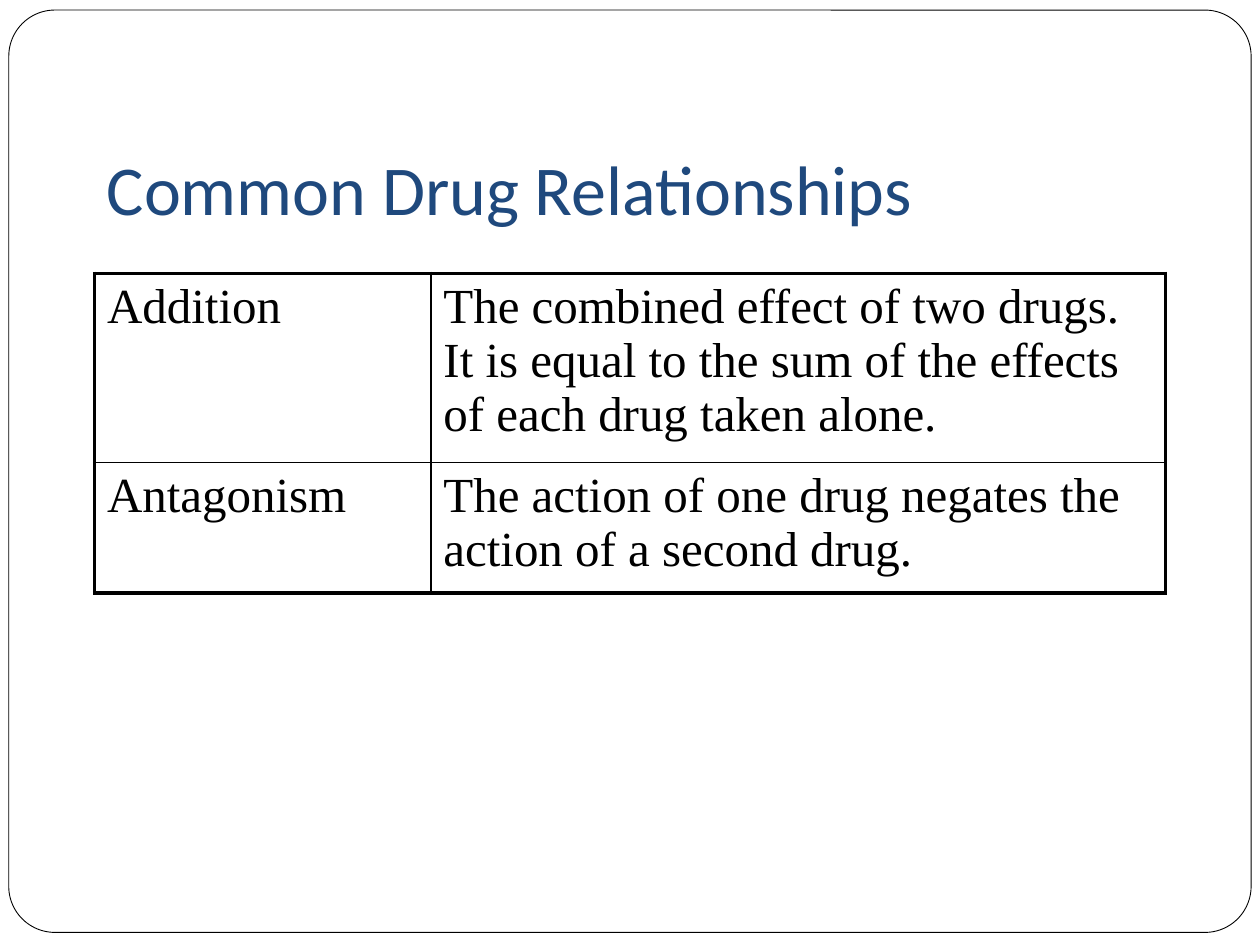
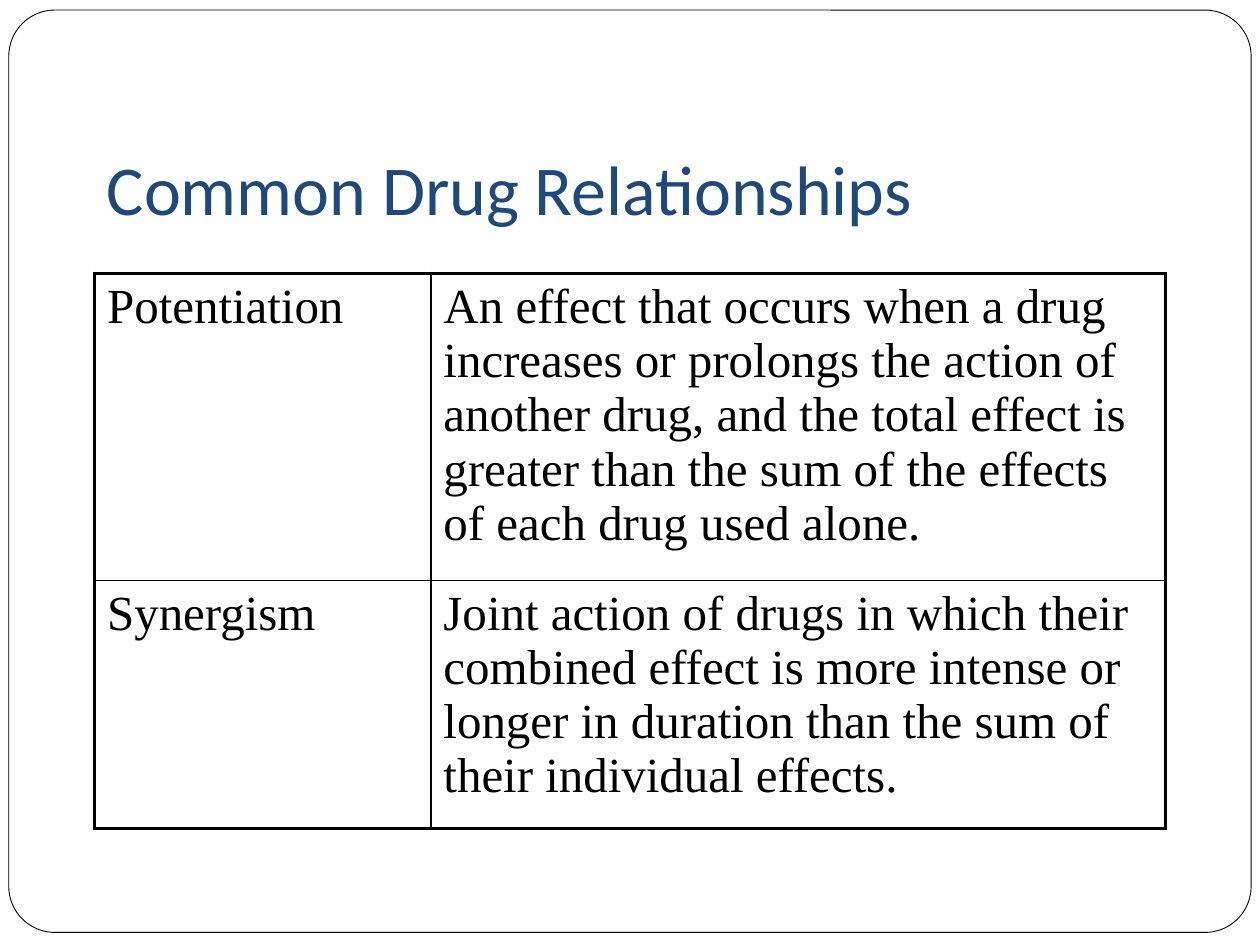
from lxml import etree
from pptx import Presentation
from pptx import util as u
from pptx.dml.color import RGBColor
from pptx.enum import shapes, text
from pptx.oxml.ns import qn

COLORS = {"paper": "FFFFFF", "ink": "000000", "title": "1F497D"}
FORMATS = {
    "title": {"name": "Calibri", "size": u.Pt(40), "color": "title"},
    "cell": {"name": "Times New Roman", "size": u.Pt(28), "color": "ink"},
}
TITLE = "Common Drug Relationships"
COL_WIDTHS = [2.67, 5.83]
OUTER, INNER = 2.25, 1
SLIDES = [
    [
        ("Addition", "The combined effect of two drugs. It is equal to the sum of "
         "the effects of each drug taken alone.", 1.4),
        ("Antagonism", "The action of one drug negates the action of a second drug.", 0.96),
    ],
    [
        ("Potentiation", "An effect that occurs when a drug increases or prolongs the "
         "action of another drug, and the total effect is greater than the sum of the "
         "effects of each drug used alone.", 2.25),
        ("Synergism", "Joint action of drugs in which their combined effect is more "
         "intense or longer in duration than the sum of their individual effects.", 1.82),
    ],
]


def write(tf, words, style):
    p = tf.paragraphs[0]
    r = p.add_run()
    r.text = words
    for key, value in FORMATS[style].items():
        if key == "color":
            r.font.color.rgb = RGBColor.from_string(COLORS[value])
        else:
            setattr(r.font, key, value)


def set_borders(cell, widths):
    tcPr = cell._tc.get_or_add_tcPr()
    for i, (side, width) in enumerate(widths.items()):
        ln = etree.Element(qn(f"a:ln{side}"), w=str(u.Pt(width)))
        fill = etree.SubElement(ln, qn("a:solidFill"))
        etree.SubElement(fill, qn("a:srgbClr"), val=COLORS["ink"])
        tcPr.insert(i, ln)


prs = Presentation()
prs.slide_width, prs.slide_height = u.Inches(10), u.Inches(7.5)

for rows in SLIDES:
    s = prs.slides.add_slide(prs.slide_layouts[6])

    sp = s.shapes.add_shape(shapes.MSO_SHAPE.ROUNDED_RECTANGLE, u.Inches(0.07),
                            u.Inches(0.08), u.Inches(9.86), u.Inches(7.32))
    sp.adjustments[0] = 0.05
    sp.shadow.inherit = False
    sp.fill.solid()
    sp.fill.fore_color.rgb = RGBColor.from_string(COLORS["paper"])
    sp.line.color.rgb = RGBColor.from_string(COLORS["ink"])
    sp.line.width = u.Pt(0.5)

    tf = s.shapes.add_textbox(u.Inches(0.75), u.Inches(0.67),
                              u.Inches(8.5), u.Inches(1.25)).text_frame
    for key, value in {"word_wrap": True, "vertical_anchor": text.MSO_ANCHOR.BOTTOM,
                       "margin_bottom": u.Inches(0.1)}.items():
        setattr(tf, key, value)
    write(tf, TITLE, "title")

    height = sum(row[2] for row in rows)
    table = s.shapes.add_table(len(rows), len(COL_WIDTHS), u.Inches(0.75), u.Inches(2.17),
                               u.Inches(sum(COL_WIDTHS)), u.Inches(height)).table
    table.first_row = table.horz_banding = False
    for col, width in zip(table.columns, COL_WIDTHS):
        col.width = u.Inches(width)
    for i, (term, meaning, row_height) in enumerate(rows):
        table.rows[i].height = u.Inches(row_height)
        for j, words in enumerate((term, meaning)):
            cell = table.cell(i, j)
            cell.fill.background()
            write(cell.text_frame, words, "cell")
            set_borders(cell, {
                "L": OUTER if j == 0 else INNER,
                "R": OUTER if j == len(COL_WIDTHS) - 1 else INNER,
                "T": OUTER if i == 0 else INNER,
                "B": OUTER if i == len(rows) - 1 else INNER,
            })

prs.save("out.pptx")
